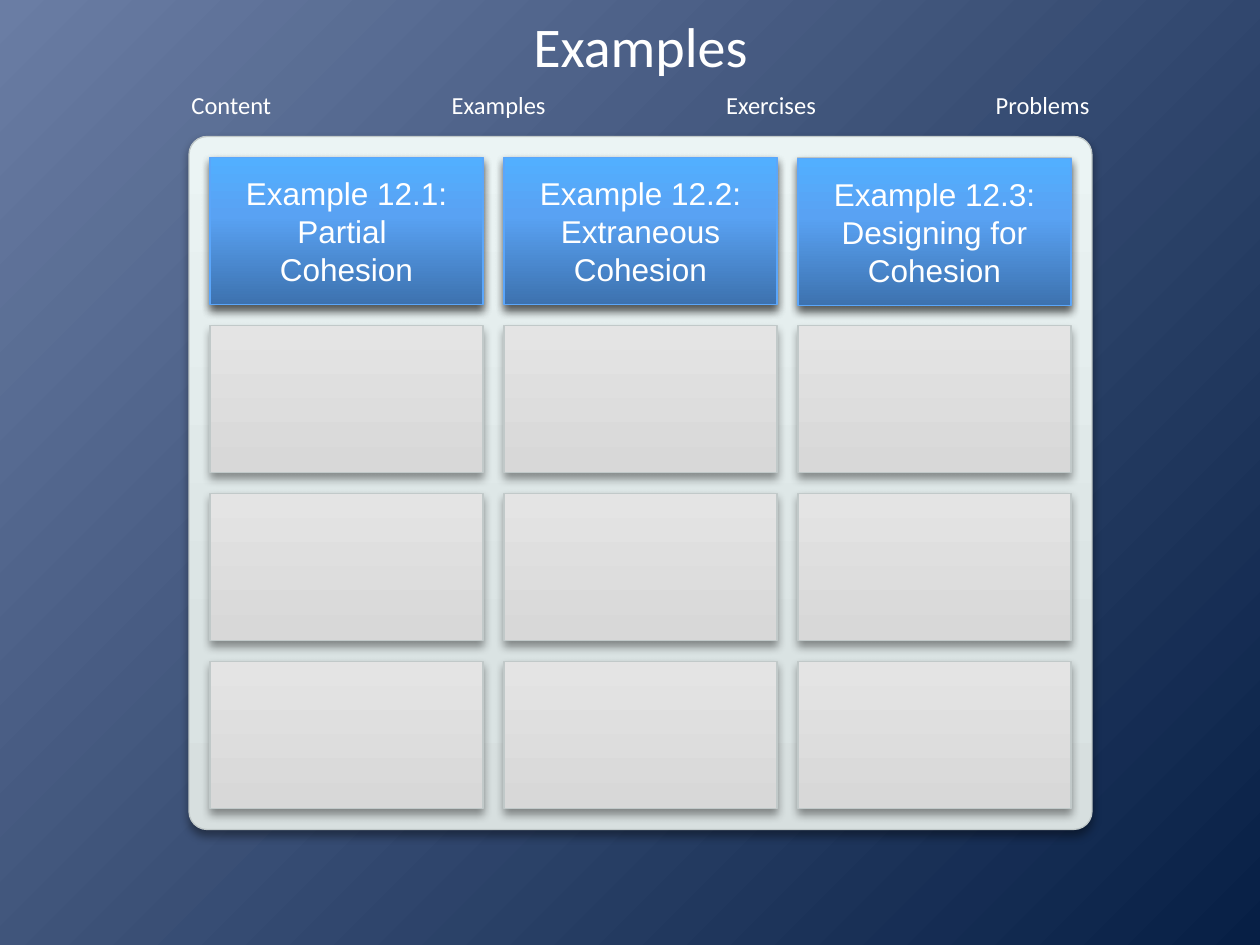
from dataclasses import dataclass

from pptx import Presentation
from pptx.dml.color import RGBColor
from pptx.enum.shapes import MSO_SHAPE as Shape
from pptx.enum.text import MSO_ANCHOR as Anchor, MSO_AUTO_SIZE as AutoSize, PP_ALIGN as Align
from pptx.oxml import parse_xml
from pptx.oxml.ns import nsdecls, qn
from pptx.util import Pt


@dataclass(frozen=True)
class Theme:
    backdrop: tuple = ((0, "6A7DA4"), (100, "071F45"))
    panel: tuple = ((0, "D7DFDF"), (25, "DAE3E3"), (100, "EBF4F4"))
    slot: tuple = ((0, "D8D8D8"), (1, "D8D8D8"), (100, "E4E4E4"))
    example: tuple = ((0, "3D72AF"), (60, "59A2F3"), (100, "52AFFF"))
    quiet_line: str = "C1C9C9"
    example_line: str = "5BA6FA"
    text: str = "FFFFFF"
    shadow: str = "000000"
    heading_font: str = "Calibri"
    example_font: str = "Arial"
    title_size: int = 32
    nav_size: int = 14
    example_size: int = 18


THEME = Theme()
TITLE_BOX = (108, 8, 516, 36)
NAV_BOX = (102, 48, 528, 24.5)
PANEL_BOX = (108, 78, 516, 396)
COLUMNS, ROWS, GAP = 3, 4, 12
NAV_ITEMS = (("Content", 60.5), ("Examples", 69.1), ("Exercises", 66.2), ("Problems", 68.4))
EXAMPLES = (
    ("Example 12.1:\nPartial \nCohesion", 0),
    ("Example 12.2:\nExtraneous Cohesion", 0),
    ("Example 12.3:\nDesigning for Cohesion", 0.6),
)
UPWARD = '<a:lin ang="16200000" scaled="0"/>'
FROM_CORNER = '<a:path path="circle"><a:fillToRect r="100000" b="100000"/></a:path>'
FLUSH = dict(margin_left=0, margin_top=0, margin_right=0, margin_bottom=0)


def apply_format(target, values):
    for name, value in values.items():
        setattr(target, name, value)


def set_gradient(fill, element, stops, direction):
    fill.gradient()
    placeholder_fill = next(element.iter(qn("a:gradFill")))
    stop_xml = "".join(
        f'<a:gs pos="{position * 1000}"><a:srgbClr val="{color}"/></a:gs>'
        for position, color in stops
    )
    gradient = parse_xml(
        f'<a:gradFill {nsdecls("a")} rotWithShape="1">'
        f"<a:gsLst>{stop_xml}</a:gsLst>{direction}</a:gradFill>"
    )
    placeholder_fill.getparent().replace(placeholder_fill, gradient)


def add_shadow(card):
    card.shadow.inherit = False
    effects = card._element.spPr.find(qn("a:effectLst"))
    effects.append(parse_xml(
        f'<a:outerShdw {nsdecls("a")} blurRad="{Pt(5.2)}" dist="{Pt(3)}" dir="5400000"'
        f' rotWithShape="0"><a:srgbClr val="{THEME.shadow}"><a:alpha val="40000"/>'
        "</a:srgbClr></a:outerShdw>"
    ))


def write_text(frame, text, font, size, **frame_format):
    apply_format(frame, frame_format)
    paragraph = frame.paragraphs[0]
    paragraph.text = text
    paragraph.alignment = Align.CENTER
    for run in paragraph.runs:
        apply_format(run.font, dict(name=font, size=Pt(size), bold=False))
        run.font.color.rgb = RGBColor.from_string(THEME.text)


def add_card(slide, box, stops, line_color, kind=Shape.RECTANGLE):
    card = slide.shapes.add_shape(kind, *map(Pt, box))
    set_gradient(card.fill, card._element.spPr, stops, UPWARD)
    card.line.color.rgb = RGBColor.from_string(line_color)
    card.line.width = Pt(0.75)
    add_shadow(card)
    return card


def place_title(slide, box, text):
    title = slide.shapes.title
    apply_format(title, dict(zip(("left", "top", "width", "height"), map(Pt, box))))
    write_text(title.text_frame, text, THEME.heading_font, THEME.title_size,
               vertical_anchor=Anchor.MIDDLE, auto_size=AutoSize.NONE, **FLUSH)


def place_navigation(slide, box, items):
    left, top, width, height = box
    gap = (width - sum(item_width for _, item_width in items)) / (len(items) - 1)
    for label, item_width in items:
        entry = slide.shapes.add_textbox(Pt(left), Pt(top), Pt(item_width), Pt(height))
        write_text(entry.text_frame, label, THEME.heading_font, THEME.nav_size,
                   word_wrap=False, auto_size=AutoSize.SHAPE_TO_FIT_TEXT)
        left += item_width + gap


def place_examples(slide, box, examples):
    left, top, width, height = box
    panel = add_card(slide, box, THEME.panel, THEME.quiet_line, Shape.ROUNDED_RECTANGLE)
    panel.adjustments[0] = 0.026
    slot_width = (width - GAP * (COLUMNS + 1)) / COLUMNS
    slot_height = (height - GAP * (ROWS + 1)) / ROWS

    def slot_box(row, column, drop=0):
        return (left + GAP + column * (slot_width + GAP),
                top + GAP + row * (slot_height + GAP) + drop, slot_width, slot_height)

    for row in range(ROWS):
        for column in range(COLUMNS):
            add_card(slide, slot_box(row, column), THEME.slot, THEME.quiet_line)
    for column, (caption, drop) in enumerate(examples):
        example = add_card(slide, slot_box(0, column, drop), THEME.example, THEME.example_line)
        write_text(example.text_frame, caption, THEME.example_font, THEME.example_size,
                   word_wrap=True, vertical_anchor=Anchor.MIDDLE)


def main():
    deck = Presentation()
    apply_format(deck, dict(slide_width=Pt(720), slide_height=Pt(540)))
    slide = deck.slides.add_slide(deck.slide_layouts[5])
    set_gradient(slide.background.fill, slide._element, THEME.backdrop, FROM_CORNER)
    place_title(slide, TITLE_BOX, "Examples")
    place_navigation(slide, NAV_BOX, NAV_ITEMS)
    place_examples(slide, PANEL_BOX, EXAMPLES)
    deck.save("out.pptx")


if __name__ == "__main__":
    main()
